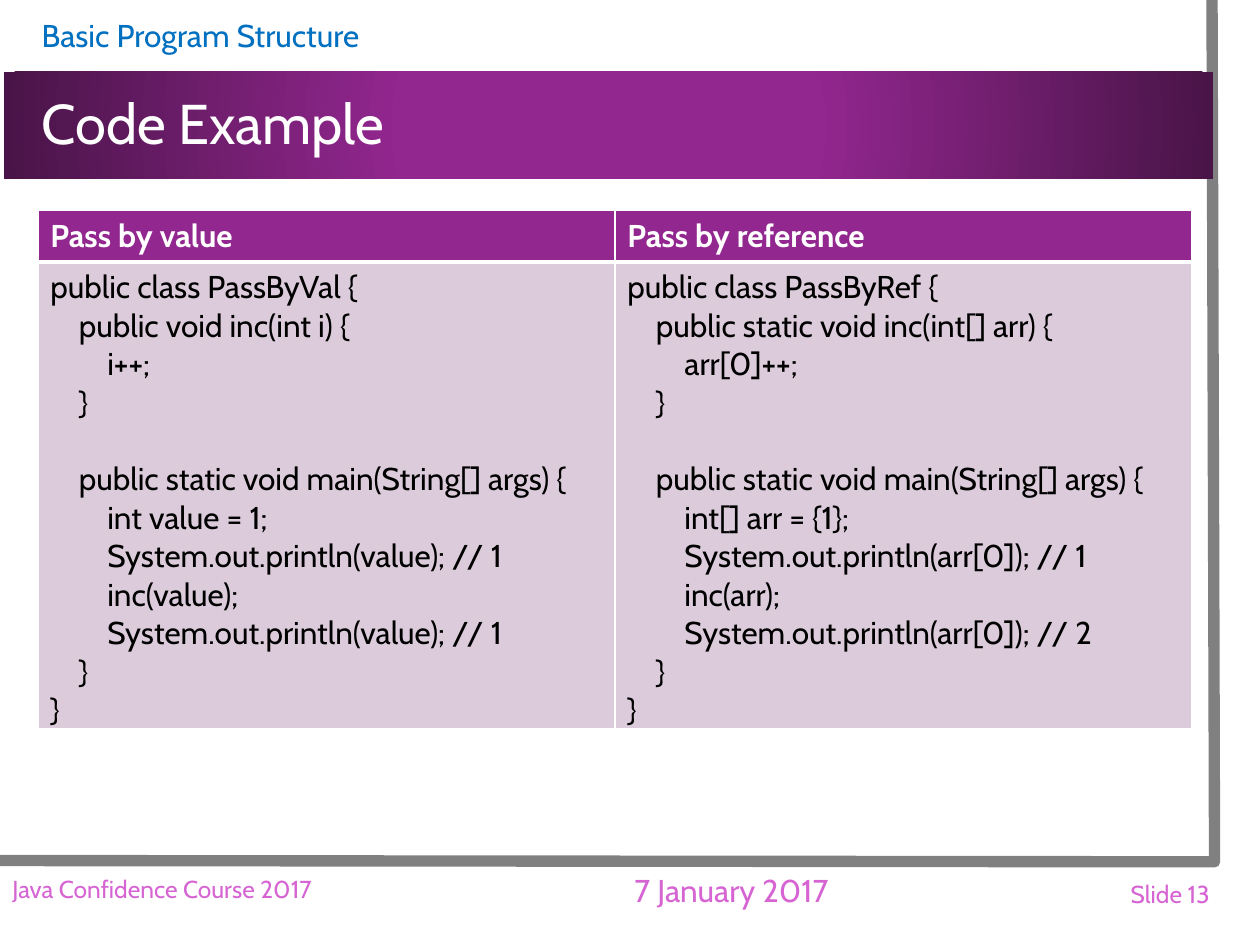
from pptx import Presentation
from pptx.dml.color import RGBColor
from pptx.enum.shapes import MSO_SHAPE
from pptx.enum.text import MSO_ANCHOR, PP_ALIGN
from pptx.oxml import parse_xml
from pptx.oxml.ns import nsdecls, qn
from pptx.util import Inches, Pt

RECT = MSO_SHAPE.RECTANGLE
MIDDLE = MSO_ANCHOR.MIDDLE
LEFT, CENTER, RIGHT = PP_ALIGN.LEFT, PP_ALIGN.CENTER, PP_ALIGN.RIGHT

FONT = "Cabin"
WHITE = RGBColor(0xFF, 0xFF, 0xFF)
BLACK = RGBColor(0, 0, 0)
GRAY = RGBColor(0x80, 0x80, 0x80)
BLUE = RGBColor(0x00, 0x70, 0xC0)
PURPLE = RGBColor(0x92, 0x27, 0x8F)
DARK = RGBColor(0x49, 0x14, 0x47)
PINK = RGBColor(0xD6, 0x65, 0xD3)
PALE = RGBColor(0xDC, 0xCC, 0xDB)

# text, box, size, colour, alignment, left inset, line spacing
LABELS = [
    ("Basic Program Structure", (0.03, 0.08, 9.6, 0.4), 18, BLUE, LEFT, 0.3, 1),
    ("Code Example", (0.03, 0.58, 9.6, 0.84), 32, WHITE, LEFT, 0.3, 0.9),
    ("7 January 2017", (4.23, 6.85, 3.15, 0.43), 18, PINK, CENTER, 0.1, 1),
    ("Java Confidence Course 2017", (0, 6.85, 4.23, 0.41), 14, PINK, LEFT, 0.1, 1),
    ("Slide 13", (7.39, 6.86, 2.31, 0.47), 14, PINK, RIGHT, 0.1, 1),
]

# heading, then code as (indent level, line)
CODE = [
    ("Pass by value", [
        (0, "public class PassByVal {"),
        (1, "public void inc(int i) {"),
        (2, "i++;"),
        (1, "}"),
        (1, "public static void main(String[] args) {"),
        (2, "int value = 1;"),
        (2, "System.out.println(value); // 1"),
        (2, "inc(value);"),
        (2, "System.out.println(value); // 1"),
        (1, "}"),
        (0, "}"),
    ]),
    ("Pass by reference", [
        (0, "public class PassByRef {"),
        (1, "public static void inc(int[] arr) {"),
        (2, "arr[0]++;"),
        (1, "}"),
        (1, "public static void main(String[] args) {"),
        (2, "int[] arr = {1};"),
        (2, "System.out.println(arr[0]); // 1"),
        (2, "inc(arr);"),
        (2, "System.out.println(arr[0]); // 2"),
        (1, "}"),
        (0, "}"),
    ]),
]
MAIN = 4          # the line that follows a gap
GAP = Pt(21.9)    # height of one line
STEP = Inches(0.226)
FRAME = [(9.62, 0), (9.64, 6.84), (-0.02, 6.83)]
HEAD_H, BODY_H = 0.41, 3.7


def add_run(para, text, size, color, bold=False):
    run = para.add_run()
    run.text = text
    font = run.font
    font.name, font.size, font.bold = FONT, Pt(size), bold
    font.color.rgb = color


def add_frame(slide):
    start, *rest = [(Inches(x), Inches(y)) for x, y in FRAME]
    pen = slide.shapes.build_freeform(*start)
    pen.add_line_segments(rest, close=False)
    frame = pen.convert_to_shape()
    frame.shadow.inherit = False
    frame.fill.background()
    frame.line.color.rgb = GRAY
    frame.line.width = Pt(6.5)


def add_band(slide):
    band = slide.shapes.add_shape(RECT, *map(Inches, (0.03, 0.57, 9.6, 0.85)))
    band.shadow.inherit = False
    band.line.fill.background()
    band.fill.gradient()
    stops = zip(band.fill.gradient_stops, [(0.34, PURPLE), (1, DARK)])
    for stop, (pos, color) in stops:
        stop.position, stop.color.rgb = pos, color
    grad = band.element.spPr.find(qn("a:gradFill"))
    grad.replace(grad.find(qn("a:lin")), parse_xml(
        f'<a:path {nsdecls("a")} path="circle"><a:fillToRect '
        'l="50000" t="50000" r="50000" b="50000"/></a:path>'))


def add_label(slide, text, box, size, color, align, inset, spacing):
    frame = slide.shapes.add_textbox(*map(Inches, box)).text_frame
    frame.word_wrap = True
    frame.vertical_anchor = MIDDLE
    frame.margin_left = Inches(inset)
    para = frame.paragraphs[0]
    para.alignment, para.line_spacing = align, spacing
    add_run(para, text, size, color)


def style_cell(cell, color, top, bottom):
    """Fill the cell and give it white borders; top and bottom in points."""
    cell.fill.solid()
    cell.fill.fore_color.rgb = color
    props = cell._tc.get_or_add_tcPr()
    for i, (side, width) in enumerate(zip("LRTB", (1, 1, top, bottom))):
        props.insert(i, parse_xml(
            f'<a:ln{side} {nsdecls("a")} w="{Pt(width)}"><a:solidFill>'
            f'<a:srgbClr val="{WHITE}"/></a:solidFill></a:ln{side}>'))


def add_code(slide):
    box = map(Inches, (0.3, 1.67, 9.16, HEAD_H + BODY_H))
    table = slide.shapes.add_table(2, len(CODE), *box).table
    table.rows[0].height, table.rows[1].height = Inches(HEAD_H), Inches(BODY_H)
    for col, (title, lines) in enumerate(CODE):
        head, body = table.cell(0, col), table.cell(1, col)
        style_cell(head, PURPLE, 1, 3)
        style_cell(body, PALE, 3, 1)
        add_run(head.text_frame.paragraphs[0], title, 18, WHITE, True)
        frame = body.text_frame
        for i, (level, line) in enumerate(lines):
            para = frame.add_paragraph() if i else frame.paragraphs[0]
            para._p.get_or_add_pPr().set("marL", str(level * STEP))
            if i == MAIN:
                para.space_before = GAP
            add_run(para, line, 18, BLACK)


def main():
    prs = Presentation()
    prs.slide_width, prs.slide_height = Inches(10), Inches(7.5)
    slide = prs.slides.add_slide(prs.slide_layouts[6])
    add_frame(slide)
    add_band(slide)
    for label in LABELS:
        add_label(slide, *label)
    add_code(slide)
    prs.save("out.pptx")


if __name__ == "__main__":
    main()
